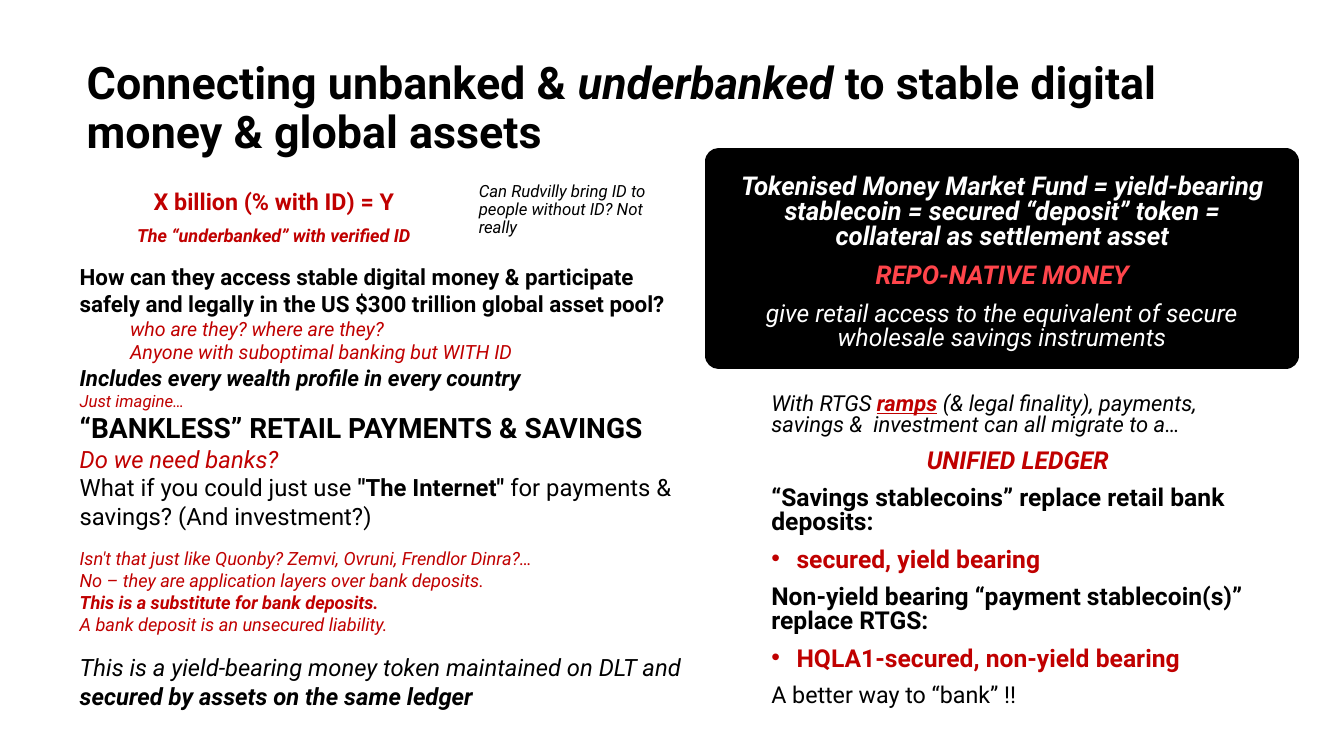
"""Build the slide on connecting the underbanked to stable digital money."""
from dataclasses import dataclass

from lxml import etree
from pptx import Presentation
from pptx.dml.color import RGBColor
from pptx.enum import text
from pptx.oxml import ns
from pptx.util import Inches, Pt


@dataclass(frozen=True)
class Theme:
    font: str = "Roboto"
    black: str = "000000"
    white: str = "FFFFFF"
    red: str = "C00000"
    coral: str = "FF454B"
    title: float = 32
    heading: float = 20
    box: float = 18.5
    lead: float = 17.6
    body: float = 17
    fact: float = 16.6
    question: float = 16
    ramp: float = 15.7
    answer: float = 14
    aside: float = 13
    caption: float = 12.9
    note: float = 12


T = Theme()
CENTER, BULLET = {"align": text.PP_ALIGN.CENTER}, {"bullet": "•", "margin": 0.25}
INDENT, GAP = {"margin": 0.5}, {"before": 12.5}

TITLE = [
    ({}, ("Connecting unbanked & ", T.title, T.black, "b"),
     ("underbanked", T.title, T.black, "bi"),
     (" to stable digital money & global assets", T.title, T.black, "b")),
]
FORMULA = [
    (CENTER, ("X billion (% with ID) = Y", T.fact, T.red, "b")),
    (CENTER, ("The “underbanked” with verified ID", T.caption, T.red, "bi")),
]
ID_NOTE = [
    ({}, ("Can Rudvilly bring ID to people without ID? Not really", T.note, T.black, "i")),
]
ARGUMENT = [
    ({}, ("How can they access stable digital money & participate safely and legally "
          "in the US $300 trillion global asset pool?", T.question, T.black, "b")),
    (INDENT, ("who are they? where are they?", T.answer, T.red, "i")),
    (INDENT, ("Anyone with suboptimal banking but WITH ID", T.answer, T.red, "i")),
    ({}, ("Includes every wealth profile in every country", T.question, T.black, "bi")),
    ({}, ("Just imagine…", T.note, T.red, "i")),
    ({}, ("“BANKLESS” RETAIL PAYMENTS & SAVINGS", T.heading, T.black, "b")),
    ({}, ("Do we need banks?", T.body, T.red, "i")),
    ({}, ("What if you could just use ", T.body, T.black, ""),
     ('"The Internet"', T.body, T.black, "b"),
     (" for payments & savings? (And investment?)", T.body, T.black, "")),
    (GAP, ("Isn't that just like Quonby? Zemvi, Ovruni, Frendlor Dinra?…", T.aside, T.red, "i")),
    ({}, ("No – they are application layers over bank deposits.", T.aside, T.red, "i")),
    ({}, ("This is a substitute for bank deposits.", T.aside, T.red, "bi")),
    ({}, ("A bank deposit is an unsecured liability.", T.aside, T.red, "i")),
    (GAP, ("This is a yield-bearing money token maintained on DLT and ", T.body, T.black, "i"),
     ("secured by assets on the same ledger", T.body, T.black, "bi")),
]
REPO_MONEY = [
    (CENTER, ("Tokenised Money Market Fund = yield-bearing stablecoin = secured “deposit” "
              "token = collateral as settlement asset", T.box, T.white, "bi")),
    (CENTER, ("REPO-NATIVE MONEY", T.box, T.coral, "bi")),
    (CENTER, ("give retail access to the equivalent of secure wholesale savings instruments",
              T.lead, T.white, "i")),
]
LEDGER = [
    ({}, ("With RTGS ", T.ramp, T.black, "i"), ("ramps", T.ramp, T.red, "biu"),
     (" (& legal finality), payments, savings &  investment can all migrate to a…",
      T.ramp, T.black, "i")),
    (CENTER, ("UNIFIED LEDGER", T.lead, T.red, "bi")),
    ({}, ("“Savings stablecoins” replace retail bank deposits:", T.lead, T.black, "b")),
    (BULLET, ("secured, yield bearing", T.lead, T.red, "b")),
    ({}, ("Non-yield bearing “payment stablecoin(s)” replace RTGS:", T.lead, T.black, "b")),
    (BULLET, ("HQLA1-secured, non-yield bearing", T.lead, T.red, "b")),
    ({}, ("A better way to “bank” !!", T.fact, T.black, "")),
]


def format_paragraph(p, spacing, before, align=text.PP_ALIGN.LEFT, margin=0, bullet=None):
    p.alignment, p.line_spacing = align, spacing
    p.space_before, p.space_after = Pt(before), Pt(0)
    pPr = p._p.get_or_add_pPr()
    pPr.set("marL", str(Inches(margin)))
    pPr.set("indent", str(Inches(-margin if bullet else 0)))
    mark = etree.SubElement(pPr, ns.qn("a:buChar" if bullet else "a:buNone"))
    if bullet:
        mark.set("char", bullet)


def write(sp, paragraphs, anchor=text.MSO_ANCHOR.TOP, spacing=1.0, before=0):
    tf = sp.text_frame
    tf.word_wrap, tf.auto_size = True, text.MSO_AUTO_SIZE.NONE
    tf.vertical_anchor = anchor
    for i, (layout, *runs) in enumerate(paragraphs):
        p = tf.add_paragraph() if i else tf.paragraphs[0]
        format_paragraph(p, **{"spacing": spacing, "before": before, **layout})
        for words, size, color, style in runs:
            r = p.add_run()
            r.text = words
            r.font.name, r.font.size = T.font, Pt(size)
            r.font.color.rgb = RGBColor.from_string(color)
            r.font.bold, r.font.italic, r.font.underline = (k in style for k in "biu")


def place(sp, left, top, width, height):
    sp.left, sp.top, sp.width, sp.height = map(Inches, (left, top, width, height))
    return sp


def outline(sp, color, width):
    sp.line.color.rgb = RGBColor.from_string(color)
    sp.line.width = Pt(width)


def main():
    prs = Presentation()
    prs.slide_width, prs.slide_height = Inches(13.33), Inches(7.5)
    s = prs.slides.add_slide(prs.slide_layouts.get_by_name("Comparison"))
    title, formula, argument, repo, ledger = s.placeholders
    middle, bottom = text.MSO_ANCHOR.MIDDLE, text.MSO_ANCHOR.BOTTOM

    write(place(title, 0.76, 0.36, 11.79, 1.45), TITLE, anchor=middle, spacing=0.9)
    write(place(formula, 0.69, 1.7, 4.05, 0.79), FORMULA, anchor=bottom, spacing=0.8, before=10)
    write(place(argument, 0.69, 2.56, 6.18, 4.58), ARGUMENT)

    write(place(repo, 7.13, 1.6, 5.62, 1.93), REPO_MONEY, anchor=bottom, spacing=0.8, before=10)
    repo.fill.solid()
    repo.fill.fore_color.rgb = RGBColor.from_string(T.black)
    outline(repo, T.black, 19.25)

    write(place(ledger, 7.55, 3.86, 5.09, 3.28), LEDGER, spacing=0.8, before=10)
    outline(ledger, T.white, 1.5)

    note = s.shapes.add_textbox(*map(Inches, (4.65, 1.68, 1.92, 0.72)))
    write(note, ID_NOTE, anchor=bottom, spacing=0.9, before=10)
    prs.save("out.pptx")


if __name__ == "__main__":
    main()
